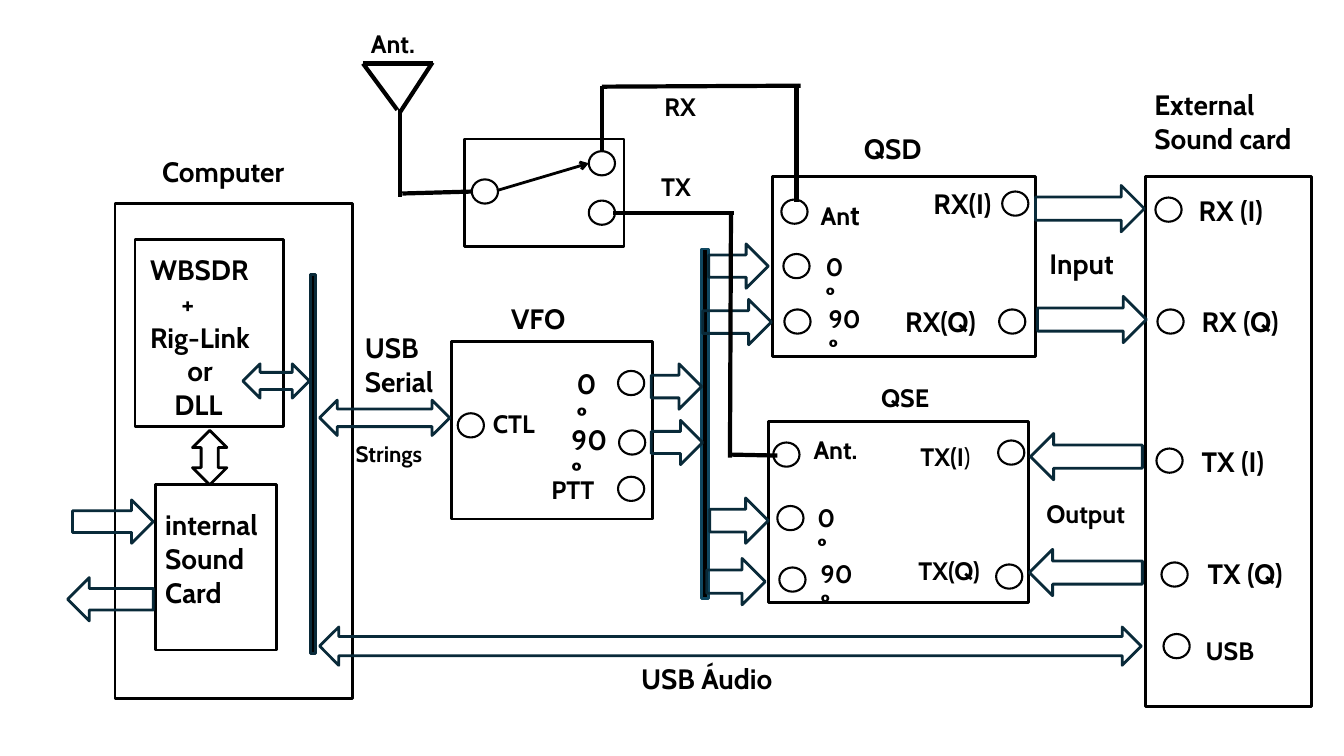
from dataclasses import dataclass

from lxml import etree
from pptx import Presentation
from pptx.dml.color import RGBColor
from pptx.enum.shapes import MSO_CONNECTOR, MSO_SHAPE
from pptx.enum.text import MSO_AUTO_SIZE
from pptx.oxml.ns import qn
from pptx.util import Inches, Pt

RECT = MSO_SHAPE.RECTANGLE
OVAL = MSO_SHAPE.OVAL
RIGHT = MSO_SHAPE.RIGHT_ARROW
BOTH = MSO_SHAPE.LEFT_RIGHT_ARROW
UPDOWN = MSO_SHAPE.UP_DOWN_ARROW
STRAIGHT = MSO_CONNECTOR.STRAIGHT
FIT = MSO_AUTO_SIZE.SHAPE_TO_FIT_TEXT


@dataclass(frozen=True)
class Theme:
    """Colours, type sizes and line widths of the diagram."""
    font: str = "Cabin"
    black: RGBColor = RGBColor(0, 0, 0)
    navy: RGBColor = RGBColor(0x09, 0x2A, 0x39)
    teal: RGBColor = RGBColor(0x10, 0x47, 0x60)
    big: int = 20
    mid: int = 18
    small: int = 16
    thin: float = 1.5
    edge: float = 2
    wire: float = 3


THEME = Theme()

BOXES = [
    (1.14, 2.02, 2.36, 4.91), (1.34, 2.38, 1.47, 1.85),
    (1.54, 4.81, 1.2, 1.64), (4.48, 3.39, 1.99, 1.76),
    (4.61, 1.38, 1.58, 1.07), (7.66, 1.75, 2.61, 1.79),
    (7.62, 4.18, 2.58, 1.8), (11.36, 1.75, 1.65, 5.26),
]
PORTS = [
    (4.68, 1.78), (5.84, 1.5), (5.84, 1.99),
    (4.54, 4.1), (6.13, 3.68), (6.14, 4.27), (6.13, 4.73),
    (7.75, 1.98), (7.77, 2.52), (7.78, 3.07), (9.94, 1.9), (9.91, 3.07),
    (7.67, 4.39), (7.71, 5.02), (7.73, 5.63), (9.9, 4.37), (9.88, 5.6),
    (11.46, 1.96), (11.48, 3.07), (11.47, 4.45), (11.52, 5.58), (11.54, 6.29),
]
INTO = [
    (0.72, 4.96, 0.8, 0.43), (6.46, 3.61, 0.5, 0.45),
    (6.46, 4.17, 0.51, 0.44), (7.03, 2.42, 0.59, 0.44),
    (6.97, 2.97, 0.68, 0.45), (7.04, 4.94, 0.58, 0.45),
    (7.01, 5.54, 0.58, 0.46), (10.27, 1.84, 1.08, 0.46),
    (10.29, 2.94, 1.08, 0.46),
]
BACK = [
    (0.67, 5.73, 0.85, 0.43), (10.22, 4.3, 1.11, 0.46),
    (10.21, 5.45, 1.12, 0.46),
]
TWOWAY = [
    (2.41, 3.61, 0.66, 0.34), (3.17, 3.97, 1.29, 0.35),
    (3.17, 6.22, 8.15, 0.38),
]
WIRES = [
    (3.6, 0.63, 3.94, 1.09), (3.6, 0.63, 4.29, 0.63),
    (4.29, 0.62, 3.97, 1.11), (3.97, 1.08, 3.97, 1.95),
    (3.99, 1.92, 4.69, 1.9), (5.97, 0.85, 5.97, 1.51),
    (5.97, 0.86, 7.94, 0.85), (7.9, 0.83, 7.9, 2),
    (6.08, 2.11, 7.28, 2.11), (7.25, 2.1, 7.24, 4.54),
    (7.25, 4.51, 7.71, 4.52),
]
TITLES = [
    (1.51, 1.48, 1.64, "Computer"), (4.97, 2.94, 1.28, "VFO"),
    (8.47, 1.26, 1.61, "QSD"), (3.52, 3.23, 0.97, "USB\nSerial"),
]
LARGE = [
    (11.35, 0.82, 1.75, "External\nSound card"),
    (1.54, 4.99, 1.21, "internal\nSound\nCard"),
    (5.62, 3.59, 0.48, "0º"), (5.57, 4.14, 0.63, "90º"),
    (6.26, 6.51, 1.53, "USB Áudio"), (10.31, 2.4, 0.88, "Input"),
    (9.16, 1.8, 0.79, "RX(I)"), (8.88, 2.97, 0.92, "RX(Q)"),
    (11.79, 1.87, 0.85, "RX (I)"), (11.82, 2.97, 0.98, "RX (Q)"),
    (11.82, 4.36, 0.82, "TX (I)"), (11.88, 5.47, 0.94, "TX (Q)"),
]
MEDIUM = [
    (3.58, 0.23, 0.69, "Ant."), (6.49, 0.86, 0.55, "RX"),
    (6.46, 1.65, 0.52, "TX"), (4.79, 4, 0.69, "CTL"),
    (5.37, 4.66, 0.68, "PTT"), (8.09, 2.44, 0.44, "0º"),
    (8.12, 2.96, 0.58, "90º"), (8.64, 3.74, 0.73, "QSE"),
    (7.97, 4.26, 0.69, "Ant."), (8.01, 4.93, 0.44, "0º"),
    (8.04, 5.49, 0.58, "90º"), (9.01, 5.46, 0.89, "TX(Q)"),
    (10.28, 4.89, 1.03, "Output"), (11.86, 6.25, 0.73, "USB"),
]


def shape(slide, kind, spot, color=THEME.black, width=THEME.edge, fill=None):
    """Add an outlined preset shape, filled only when asked."""
    item = slide.shapes.add_shape(kind, *map(Inches, spot))
    item.shadow.inherit = False
    if fill is None:
        item.fill.background()
    else:
        item.fill.solid()
        item.fill.fore_color.rgb = fill
    item.line.color.rgb = color
    item.line.width = Pt(width)
    return item


def wire(slide, ends, width=THEME.wire, head=False):
    """Add a straight black line, with an arrowhead when asked."""
    item = slide.shapes.add_connector(STRAIGHT, *map(Inches, ends))
    item.line.color.rgb = THEME.black
    item.line.width = Pt(width)
    props = item._element.spPr
    if head:
        etree.SubElement(props.find(qn("a:ln")), qn("a:tailEnd"), type="arrow")
    etree.SubElement(props, qn("a:effectLst"))


def label(slide, left, top, width, text, size, wrap=False):
    """Add bold text, one paragraph a line, and return the paragraphs."""
    lines = text.split("\n")
    height = 0.1 + len(lines) * size / 60
    box = slide.shapes.add_textbox(*map(Inches, (left, top, width, height)))
    frame = box.text_frame
    frame.text = text
    frame.word_wrap = wrap
    frame.auto_size = FIT
    for para in frame.paragraphs:
        font = para.font
        font.name, font.size, font.bold = THEME.font, Pt(size), True
        font.color.rgb = THEME.black
    return frame.paragraphs


def software(slide):
    """Add the list of programs with its stepped indents."""
    text = "WBSDR\n+\nRig-Link\nor\nDLL"
    paras = label(slide, 1.39, 2.46, 1.61, text, THEME.big, True)
    for para, inset in zip(paras, (0, 0.31, 0, 0.37, 0.24)):
        para._p.get_or_add_pPr().set("marL", str(Inches(inset)))


def mixed(slide):
    """Add the two labels whose last letter is set differently."""
    ant = label(slide, 8.04, 1.91, 0.63, "An", THEME.mid)[0].add_run()
    ant.text = "t"
    ant.font.size = Pt(THEME.big)
    send = label(slide, 9.03, 4.33, 0.76, "TX(I", THEME.mid)[0].add_run()
    send.text = ")"
    send.font.bold = False


def main():
    """Build the radio block diagram and save it."""
    deck = Presentation()
    deck.slide_width, deck.slide_height = Inches(13.33), Inches(7.5)
    slide = deck.slides.add_slide(deck.slide_layouts[6])
    for spot in BOXES:
        shape(slide, RECT, spot)
    for left, top in PORTS:
        shape(slide, OVAL, (left, top, 0.26, 0.24), width=THEME.thin)
    shape(slide, RECT, (3.08, 2.72, 0.05, 3.76), THEME.navy, fill=THEME.black)
    shape(slide, RECT, (6.96, 2.47, 0.07, 3.47), THEME.teal, fill=THEME.black)
    for spot in INTO:
        shape(slide, RIGHT, spot, THEME.navy)
    for spot in BACK:
        shape(slide, RIGHT, spot, THEME.navy).rotation = 180
    for spot in TWOWAY:
        shape(slide, BOTH, spot, THEME.navy)
    shape(slide, UPDOWN, (1.91, 4.27, 0.34, 0.54))
    for ends in WIRES:
        wire(slide, ends)
    wire(slide, (4.93, 1.89, 5.84, 1.62), THEME.edge, True)
    for title in TITLES:
        label(slide, *title, THEME.big, True)
    for name in LARGE:
        label(slide, *name, THEME.big)
    for name in MEDIUM:
        label(slide, *name, THEME.mid)
    label(slide, 3.43, 4.32, 0.98, "Strings", THEME.small)
    software(slide)
    mixed(slide)
    deck.save("out.pptx")


if __name__ == "__main__":
    main()
